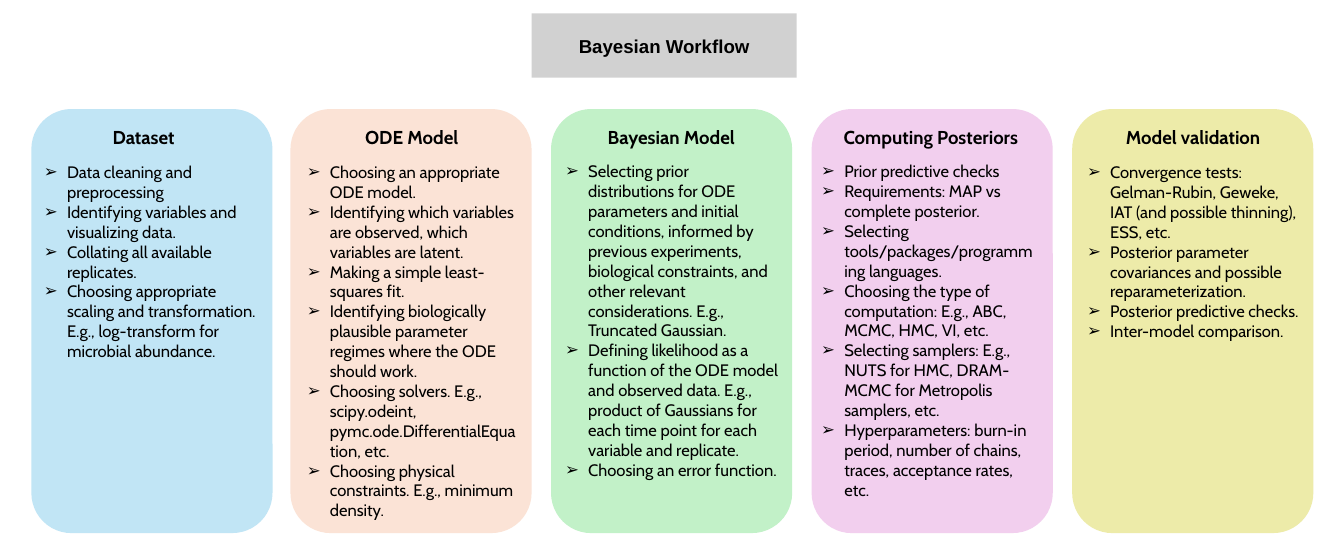
from lxml.etree import SubElement
from pptx import Presentation
from pptx.dml.color import RGBColor
from pptx.enum.shapes import MSO_SHAPE
from pptx.enum.text import MSO_ANCHOR, MSO_AUTO_SIZE, PP_ALIGN
from pptx.oxml.ns import qn
from pptx.util import Pt

PX = 9144  # 100 px to the inch
INDENT = 31
COLORS = {
    "text": "000000", "title": "D1D1D1", "data": "C1E5F5", "ode": "FBE3D6",
    "bayes": "C2F1C8", "post": "F2CFEE", "valid": "EDEBA9",
}

# colour, card left, heading (text, left, top, width), list (left, top, height), items
STAGES = [
    ("data", 42, ("Dataset", 141, 164, 110), (49, 212, 333), [
        "Data cleaning and preprocessing",
        "Identifying variables and visualizing data.",
        "Collating all available replicates.",
        "Choosing appropriate scaling and transformation. "
        "E.g., log-transform for microbial abundance.",
    ]),
    ("ode", 389, ("ODE Model", 479, 164, 148), (401, 212, 495), [
        "Choosing an appropriate ODE model.",
        "Identifying which variables are observed, which variables are latent.",
        "Making a simple least-squares fit.",
        "Identifying biologically plausible parameter regimes "
        "where the ODE should work.",
        "Choosing solvers. E.g., scipy.odeint, "
        "pymc.ode.DifferentialEquation, etc.",
        "Choosing physical constraints. E.g., minimum density.",
    ]),
    ("bayes", 738, ("Bayesian Model", 804, 163, 201), (747, 211, 522), [
        "Selecting prior distributions for ODE parameters and initial "
        "conditions, informed by previous experiments, biological "
        "constraints, and other relevant considerations. "
        "E.g., Truncated Gaussian.",
        "Defining likelihood as a function of the ODE model and observed "
        "data. E.g., product of Gaussians for each time point for each "
        "variable and replicate.",
        "Choosing an error function.",
    ]),
    ("post", 1087, ("Computing Posteriors", 1120, 163, 270), (1090, 211, 495), [
        "Prior predictive checks",
        "Requirements: MAP vs complete posterior.",
        "Selecting tools/packages/programming languages.",
        "Choosing the type of computation: E.g., ABC, MCMC, HMC, VI, etc.",
        "Selecting samplers: E.g., NUTS for HMC, DRAM-MCMC for Metropolis "
        "samplers, etc.",
        "Hyperparameters: burn-in period, number of chains, traces, "
        "acceptance rates, etc.",
    ]),
    ("valid", 1436, ("Model validation", 1498, 163, 210), (1446, 212, 306), [
        "Convergence tests: Gelman-Rubin, Geweke, IAT (and possible "
        "thinning), ESS, etc.",
        "Posterior parameter covariances and possible reparameterization.",
        "Posterior predictive checks.",
        "Inter-model comparison.",
    ]),
]


def rgb(name):
    return RGBColor.from_string(COLORS[name])


def box(*sides):
    return [side * PX for side in sides]


def paint(shape, color):
    shape.fill.solid()
    shape.fill.fore_color.rgb = rgb(color)
    shape.line.fill.background()


def add_run(para, text, size, font="Cabin", bold=False):
    run = para.add_run()
    run.text = text
    run.font.size = Pt(size)
    run.font.name = font
    run.font.bold = bold
    run.font.color.rgb = rgb("text")


def set_title(slide, text):
    """Turn the title placeholder into a filled, rounded banner."""
    title = slide.shapes.title
    title.left, title.top, title.width, title.height = box(712, 18, 355, 86)
    geom = SubElement(title.element.spPr, qn("a:prstGeom"), prst="roundRect")
    SubElement(geom, qn("a:avLst"))
    paint(title, "title")
    frame = title.text_frame
    frame.vertical_anchor = MSO_ANCHOR.MIDDLE
    para = frame.paragraphs[0]
    para.alignment = PP_ALIGN.CENTER
    add_run(para, text, 18, "Arial", True)


def add_card(slide, color, left):
    card = slide.shapes.add_shape(
        MSO_SHAPE.ROUNDED_RECTANGLE, *box(left, 146, 323, 568))
    card.shadow.inherit = False
    paint(card, color)


def add_head(slide, text, left, top, width):
    frame = slide.shapes.add_textbox(*box(left, top, width, 40)).text_frame
    frame.word_wrap = False
    frame.auto_size = MSO_AUTO_SIZE.SHAPE_TO_FIT_TEXT
    add_run(frame.paragraphs[0], text, 18, bold=True)


def add_bullet(para):
    props = para._p.get_or_add_pPr()
    props.set("marL", str(INDENT * PX))
    props.set("indent", str(-INDENT * PX))
    SubElement(props, qn("a:buFont"), typeface="Arial")
    SubElement(props, qn("a:buChar"), char="➢")


def add_list(slide, left, top, height, items):
    frame = slide.shapes.add_textbox(*box(left, top, 305, height)).text_frame
    frame.word_wrap = True
    frame.auto_size = MSO_AUTO_SIZE.SHAPE_TO_FIT_TEXT
    for i, item in enumerate(items):
        para = frame.add_paragraph() if i else frame.paragraphs[0]
        add_bullet(para)
        add_run(para, item, 16)


def main():
    deck = Presentation()
    deck.slide_width, deck.slide_height = box(1800, 750)
    slide = deck.slides.add_slide(deck.slide_layouts[5])
    set_title(slide, "Bayesian Workflow")
    for color, left, head, area, items in STAGES:
        add_card(slide, color, left)
        add_head(slide, *head)
        add_list(slide, *area, items)
    deck.save("out.pptx")


if __name__ == "__main__":
    main()
